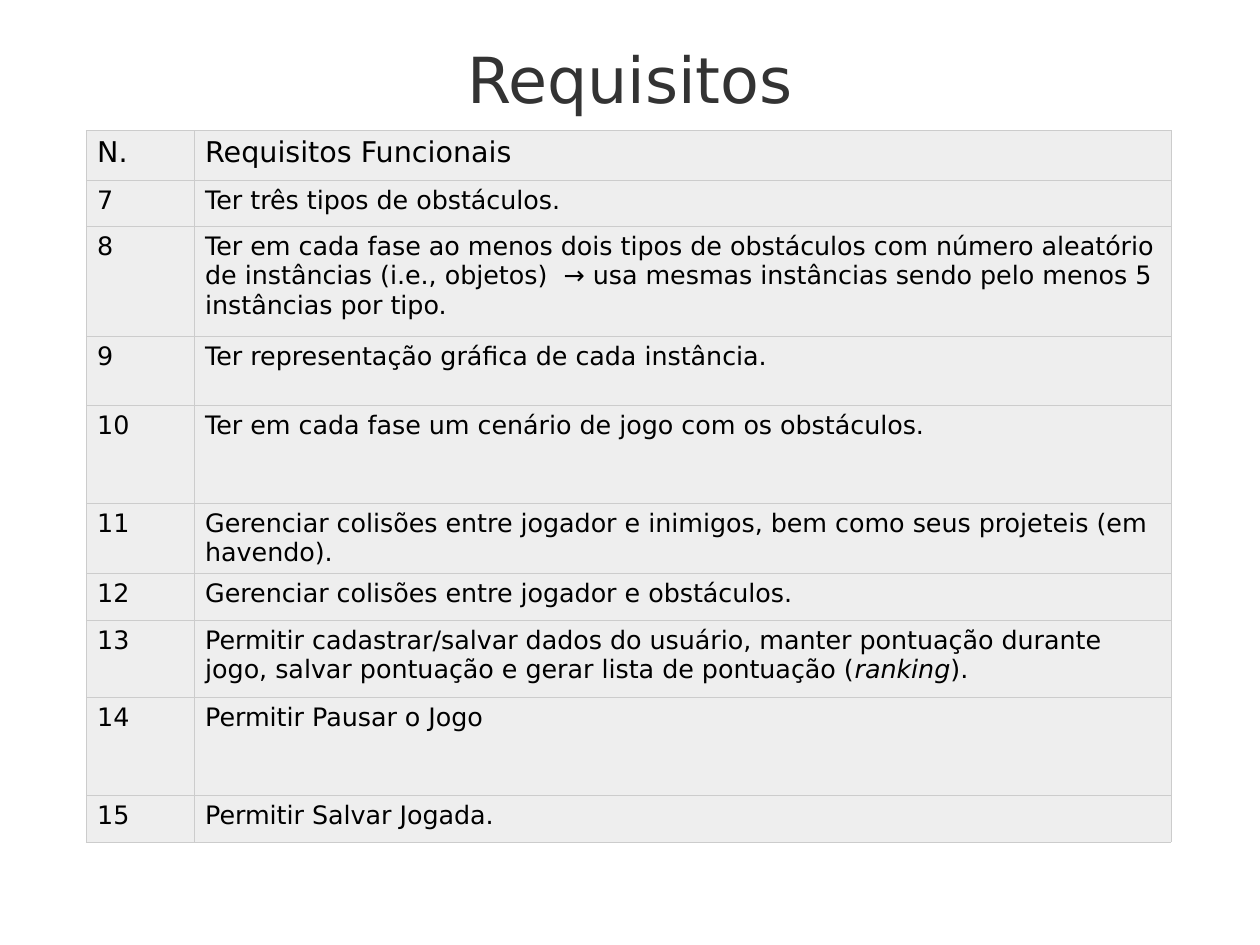
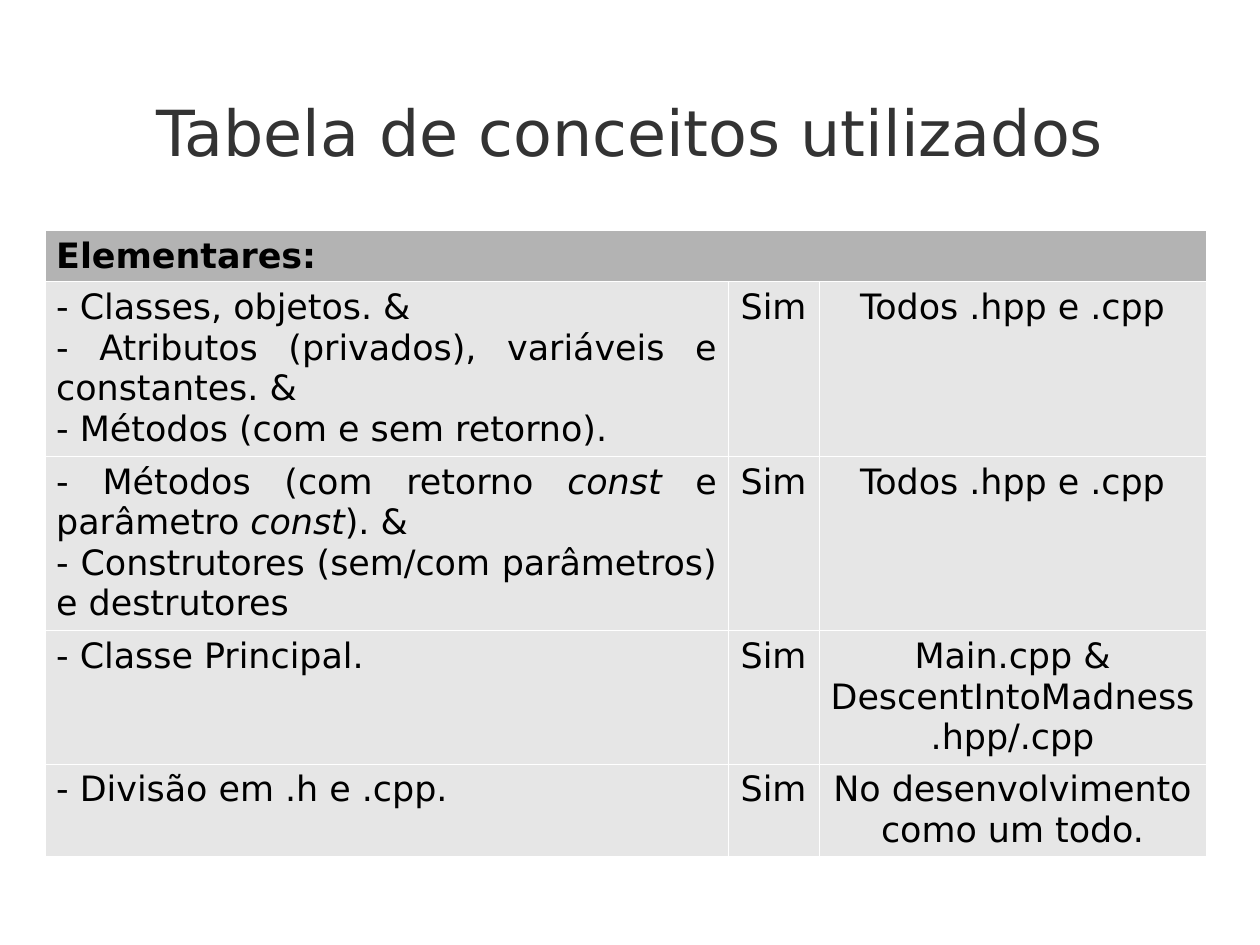
from dataclasses import dataclass

from lxml.etree import SubElement
from pptx import Presentation
from pptx.dml.color import RGBColor
from pptx.enum.text import MSO_ANCHOR, PP_ALIGN as AL
from pptx.oxml.ns import qn
from pptx.util import Cm, Pt


@dataclass(frozen=True)
class Theme:
    font: str = "DejaVu Sans"
    title: str = "333333"
    text: str = "000000"
    title_size: int = 40
    border_width: float = 0.06
    cell_side: float = 0.25
    cell_top: float = 0.13


THEME = Theme()

# Text between asterisks is italic; each line of a cell is a paragraph.
SLIDES = [
    dict(
        title="Requisitos", title_top=0.08,
        left=1.91, top=2.9, cols=[2.4, 21.72],
        row_heights=[1.11, 1.02, 2.44, 1.53, 2.18, 1.56, 1.04, 1.71, 2.18, 1.04],
        aligns=[AL.LEFT, AL.LEFT],
        head_size=18, size=16, head_bold=False,
        head_fill="EEEEEE", fill="EEEEEE", border="CCCCCC",
        rows=[
            ("N.", "Requisitos Funcionais"),
            ("7", "Ter três tipos de obstáculos."),
            ("8", "Ter em cada fase ao menos dois tipos de obstáculos com número "
                  "aleatório de instâncias (i.e., objetos)  → usa mesmas instâncias "
                  "sendo pelo menos 5 instâncias por tipo."),
            ("9", "Ter representação gráfica de cada instância."),
            ("10", "Ter em cada fase um cenário de jogo com os obstáculos."),
            ("11", "Gerenciar colisões entre jogador e inimigos, bem como seus "
                   "projeteis (em havendo)."),
            ("12", "Gerenciar colisões entre jogador e obstáculos."),
            ("13", "Permitir cadastrar/salvar dados do usuário, manter pontuação "
                   "durante jogo, salvar pontuação e gerar lista de pontuação "
                   "(*ranking*)."),
            ("14", "Permitir Pausar o Jogo"),
            ("15", "Permitir Salvar Jogada."),
        ],
    ),
    dict(
        title="Tabela de conceitos utilizados", title_top=1.24,
        left=1, top=5.12, cols=[15.18, 2.02, 8.6],
        row_heights=[1.13, 3.88, 3.88, 2.96, 2.06],
        aligns=[AL.JUSTIFY, AL.CENTER, AL.CENTER],
        head_size=22, size=22, head_bold=True,
        head_fill="B3B3B3", fill="E6E6E6", border="FFFFFF",
        rows=[
            ("Elementares:",),
            ("- Classes, objetos. &\n"
             "- Atributos (privados), variáveis e constantes. &\n"
             "- Métodos (com e sem retorno).", "Sim", "Todos .hpp e .cpp"),
            ("- Métodos (com retorno *const *e parâmetro *const*). &\n"
             "- Construtores (sem/com parâmetros) e destrutores",
             "Sim", "Todos .hpp e .cpp"),
            ("- Classe Principal.", "Sim", "Main.cpp & DescentIntoMadness.hpp/.cpp"),
            ("- Divisão em .h e .cpp.", "Sim", "No desenvolvimento como um todo."),
        ],
    ),
]


def write(tf, text, size, color, align, bold=False):
    for i, line in enumerate(text.split("\n")):
        p = tf.add_paragraph() if i else tf.paragraphs[0]
        p.alignment = align
        for j, part in enumerate(line.split("*")):
            if not part:
                continue
            r = p.add_run()
            r.text = part
            f = r.font
            f.name, f.size, f.bold, f.italic = THEME.font, Pt(size), bold, j % 2 == 1
            f.color.rgb = RGBColor.from_string(color)


def style_cell(cell, fill, border):
    """Set margins, then the four borders, then the fill, as the schema orders them."""
    cell.margin_left = cell.margin_right = Cm(THEME.cell_side)
    cell.margin_top, cell.margin_bottom = Cm(THEME.cell_top), 0
    tc_pr = cell._tc.get_or_add_tcPr()
    for side in ("a:lnL", "a:lnR", "a:lnT", "a:lnB"):
        ln = SubElement(tc_pr, qn(side), w=str(int(Pt(THEME.border_width))))
        SubElement(SubElement(ln, qn("a:solidFill")), qn("a:srgbClr"), val=border)
    cell.fill.solid()
    cell.fill.fore_color.rgb = RGBColor.from_string(fill)


def add_title(s, text, top):
    tf = s.shapes.add_textbox(Cm(1.95), Cm(top), Cm(24.1), Cm(3.33)).text_frame
    tf.word_wrap = True
    tf.vertical_anchor = MSO_ANCHOR.MIDDLE
    tf.margin_left = tf.margin_right = tf.margin_top = tf.margin_bottom = 0
    write(tf, text, THEME.title_size, THEME.title, AL.CENTER)


def add_grid(s, d):
    cols, heights = d["cols"], d["row_heights"]
    table = s.shapes.add_table(len(heights), len(cols), Cm(d["left"]), Cm(d["top"]),
                               Cm(sum(cols)), Cm(sum(heights))).table
    table.first_row = table.horz_banding = False
    for col, width in zip(table.columns, cols):
        col.width = Cm(width)
    for i, (row, height, texts) in enumerate(zip(table.rows, heights, d["rows"])):
        row.height = Cm(height)
        head = i == 0
        for cell in row.cells:
            style_cell(cell, d["head_fill"] if head else d["fill"], d["border"])
        if len(texts) == 1:
            table.cell(i, 0).merge(table.cell(i, len(cols) - 1))
        for cell, text, align in zip(row.cells, texts, d["aligns"]):
            write(cell.text_frame, text, d["head_size"] if head else d["size"],
                  THEME.text, AL.LEFT if head else align, head and d["head_bold"])


def main():
    prs = Presentation()
    prs.slide_width, prs.slide_height = Cm(28), Cm(21)
    for d in SLIDES:
        s = prs.slides.add_slide(prs.slide_layouts[6])
        add_title(s, d["title"], d["title_top"])
        add_grid(s, d)
    prs.save("out.pptx")


if __name__ == "__main__":
    main()
